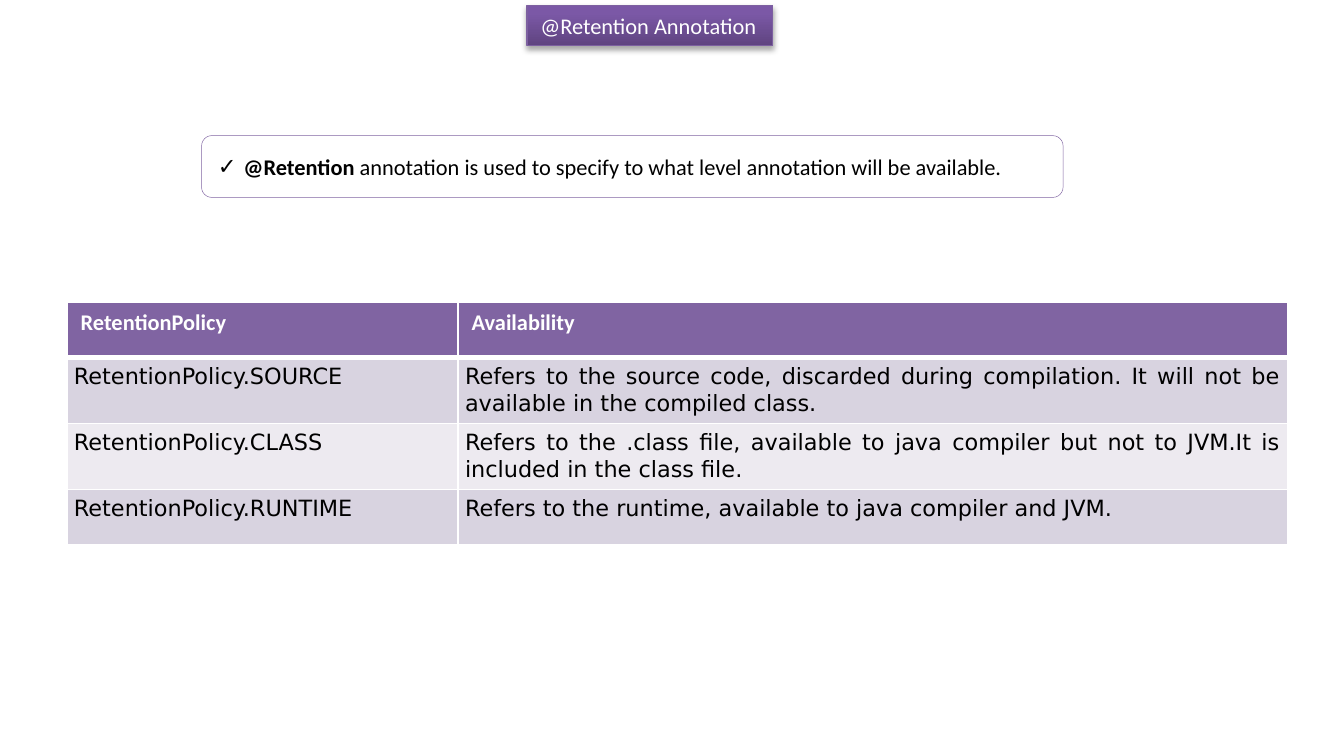
from copy import deepcopy
from dataclasses import dataclass

from lxml import etree
from pptx import Presentation
from pptx import util as u
from pptx.dml.color import RGBColor
from pptx.enum import shapes, text
from pptx.oxml.ns import qn

PX = u.Inches(1) // 100  # 100 px to the inch


@dataclass(frozen=True)
class Theme:
    white: str = "FFFFFF"
    black: str = "000000"
    accent: str = "8064A2"
    title_line: str = "7D60A0"
    title_stops: tuple = ((0, "5F4480"), (0.8, "7B58A6"), (1, "7C57A8"))
    bands: tuple = ("D8D3E0", "EDEAF0")
    font: str = "Calibri"
    body_font: str = "DejaVu Sans"
    size: int = 12


THEME = Theme()

POLICIES = [
    ("RetentionPolicy", "Availability"),
    ("RetentionPolicy.SOURCE",
     "Refers to the source code, discarded during compilation. "
     "It will not be available in the compiled class."),
    ("RetentionPolicy.CLASS",
     "Refers to the .class file, available to java compiler but not to JVM."
     "It is included in the class file."),
    ("RetentionPolicy.RUNTIME",
     "Refers to the runtime, available to java compiler and JVM."),
]


def rgb(value):
    return RGBColor.from_string(value)


def apply(target, **values):
    for name, value in values.items():
        setattr(target, name, value)


def place(shape, left, top, width, height):
    apply(shape, left=left * PX, top=top * PX,
          width=width * PX, height=height * PX)


def add_span(para, wording, color, font=THEME.font, bold=False):
    span = para.add_run()
    span.text = wording
    apply(span.font, name=font, size=u.Pt(THEME.size), bold=bold)
    span.font.color.rgb = rgb(color)


def outline(shape, color, width):
    shape.line.color.rgb = rgb(color)
    shape.line.width = u.Pt(width)


def add_shadow(shape, color, alpha, blur, distance, angle):
    shape.shadow.inherit = False
    effects = shape._element.spPr.find(qn("a:effectLst"))
    shadow = etree.SubElement(
        effects, qn("a:outerShdw"), blurRad=str(u.Pt(blur)),
        dist=str(u.Pt(distance)), dir=str(angle * 60000), rotWithShape="0")
    tint = etree.SubElement(shadow, qn("a:srgbClr"), val=color)
    etree.SubElement(tint, qn("a:alpha"), val=str(alpha * 1000))


def fill_gradient(shape, stops, angle):
    shape.fill.gradient()
    shape.fill.gradient_angle = angle
    stop_list = shape._element.spPr.find(".//" + qn("a:gsLst"))
    while len(stop_list) < len(stops):
        stop_list.append(deepcopy(stop_list[-1]))
    for stop, (position, color) in zip(shape.fill.gradient_stops, stops):
        stop.position = position
        stop.color.rgb = rgb(color)


def format_title(title, wording):
    place(title, 392, 4, 183, 30)
    fill_gradient(title, THEME.title_stops, 90)
    outline(title, THEME.title_line, 0.75)
    add_shadow(title, THEME.black, 35, 3.1, 1.8, 90)
    frame = title.text_frame
    apply(frame, word_wrap=True, vertical_anchor=text.MSO_ANCHOR.TOP,
          auto_size=text.MSO_AUTO_SIZE.NONE)
    para = frame.paragraphs[0]
    para.alignment = text.PP_ALIGN.LEFT
    add_span(para, wording, THEME.white)


def add_bullet(para, symbol, indent):
    props = para._p.get_or_add_pPr()
    props.set("marL", str(indent * PX))
    props.set("indent", str(-indent * PX))
    etree.SubElement(props, qn("a:buFont"), typeface=THEME.body_font)
    etree.SubElement(props, qn("a:buChar"), char=symbol)


def add_note(page, spans):
    box = page.shapes.add_shape(
        shapes.MSO_SHAPE.ROUNDED_RECTANGLE, 0, 0, 0, 0)
    place(box, 150, 101, 641, 46)
    box.shadow.inherit = False
    box.fill.solid()
    box.fill.fore_color.rgb = rgb(THEME.white)
    outline(box, THEME.accent, 0.25)
    apply(box.text_frame, word_wrap=True,
          vertical_anchor=text.MSO_ANCHOR.MIDDLE)
    para = box.text_frame.paragraphs[0]
    para.alignment = text.PP_ALIGN.LEFT
    add_bullet(para, "✓", 19)
    for wording, bold in spans:
        add_span(para, wording, THEME.black, bold=bold)


def set_borders(cell, color, **widths):
    props = cell._tc.get_or_add_tcPr()
    for side in "LRTB":
        line = etree.SubElement(props, qn("a:ln" + side),
                                w=str(u.Pt(widths.get(side, 1))))
        fill = etree.SubElement(line, qn("a:solidFill"))
        etree.SubElement(fill, qn("a:srgbClr"), val=color)


def format_cell(cell, row, wording):
    para = cell.text_frame.paragraphs[0]
    # The header and the first body row share a heavier rule
    heavy = {0: {"B": 3}, 1: {"T": 3}}.get(row, {})
    set_borders(cell, THEME.white, **heavy)
    cell.fill.solid()
    if row == 0:
        cell.fill.fore_color.rgb = rgb(THEME.accent)
        add_span(para, wording, THEME.white, bold=True)
        return
    cell.fill.fore_color.rgb = rgb(THEME.bands[(row - 1) % 2])
    for side in ("left", "right", "top", "bottom"):
        setattr(cell, "margin_" + side, 5 * PX)
    para.alignment = text.PP_ALIGN.JUSTIFY
    add_span(para, wording, THEME.black, THEME.body_font)


def add_policy_table(page, rows, widths, row_height):
    table = page.shapes.add_table(
        len(rows), len(widths), 50 * PX, 225 * PX,
        sum(widths) * PX, len(rows) * row_height * PX).table
    for column, width in zip(table.columns, widths):
        column.width = width * PX
    for row, wordings in enumerate(rows):
        table.rows[row].height = row_height * PX
        for column, wording in enumerate(wordings):
            format_cell(table.cell(row, column), row, wording)


def main():
    deck = Presentation()
    apply(deck, slide_width=1000 * PX, slide_height=550 * PX)
    page = deck.slides.add_slide(deck.slide_layouts[5])

    # Title banner
    format_title(page.shapes.title, "@Retention Annotation")

    # Retention policies
    add_policy_table(page, POLICIES, (291, 617), 41)

    # Purpose of the annotation
    add_note(page, [
        ("@Retention", True),
        (" annotation is used to specify to what level annotation "
         "will be available.", False),
    ])

    deck.save("out.pptx")


if __name__ == "__main__":
    main()
